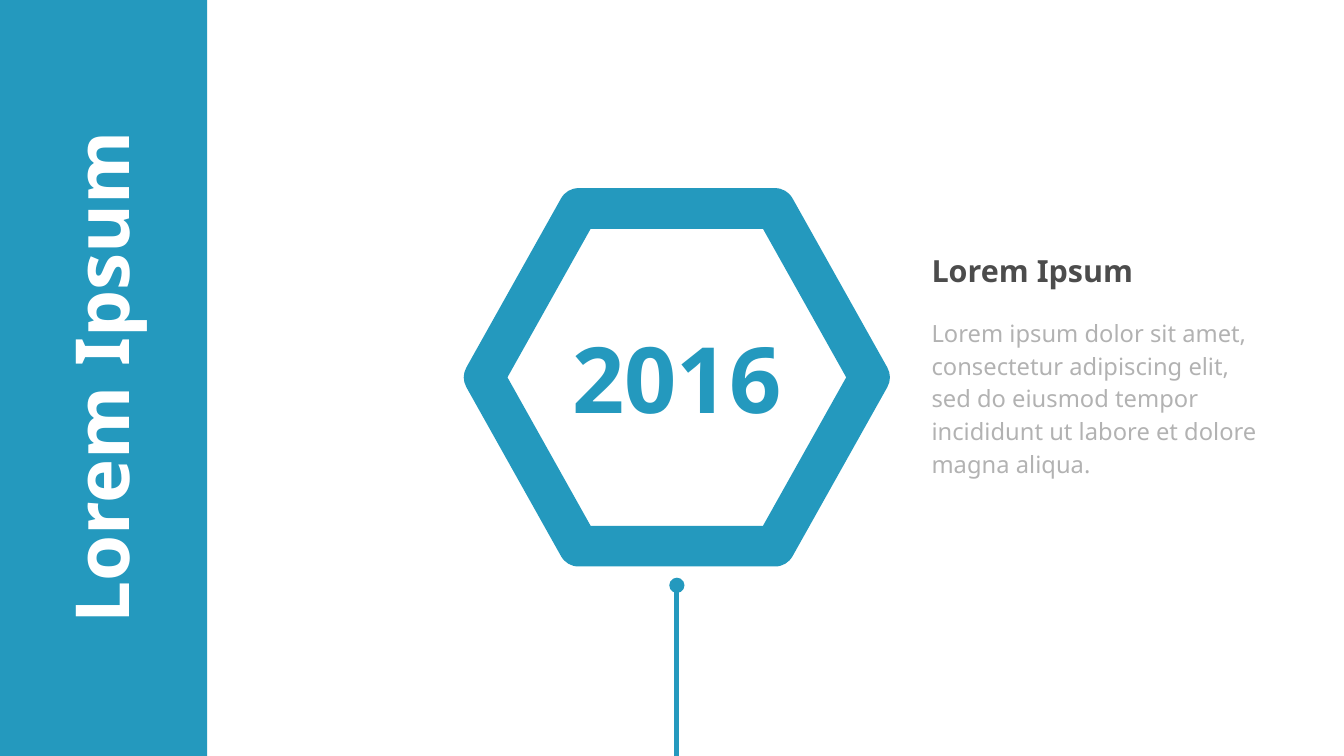
from dataclasses import dataclass

from pptx import Presentation
from pptx import util as u
from pptx.dml.color import RGBColor
from pptx.enum import shapes, text
from pptx.oxml.ns import qn
from lxml import etree


@dataclass(frozen=True)
class Theme:
    font: str = "Noto Sans"
    blue: str = "2499BE"
    white: str = "FFFFFF"
    dark: str = "4C4C4C"
    black: str = "000000"
    year: int = 54
    title: int = 44
    head: int = 18
    body: int = 14


@dataclass(frozen=True)
class Box:
    left: float
    top: float
    width: float
    height: float

    def emu(self) -> list[u.Length]:
        return [u.Inches(n) for n in (self.left, self.top, self.width, self.height)]


@dataclass(frozen=True)
class Label:
    words: str
    box: Box
    form: dict
    turn: int = 0


THEME = Theme()
WIDE, HIGH = 11.02, 6.2
BAR = 1.7
HEX = Box(3.97, 1.71, 3.16, 2.77)
MID = HEX.left + HEX.width / 2
STEM = 4.8
SIDE = 7.54

LABELS = [
    Label("Lorem Ipsum", Box(SIDE, 1.97, 3, 0.5),
          dict(size=THEME.head, color=THEME.dark, bold=True, middle=True)),
    Label("Lorem ipsum dolor sit amet, consectetur adipiscing elit, sed do eiusmod "
          "tempor incididunt ut labore et dolore magna aliqua.", Box(SIDE, 2.53, 3, 1.7),
          dict(size=THEME.body, color=THEME.black, alpha=30, space=1.15)),
    Label("Lorem Ipsum", Box(-2.28, 2.58, HIGH, 1.03),
          dict(size=THEME.title, color=THEME.white, bold=True, center=True,
               middle=True, inset=(0, 0)), turn=270),
]


def write(shape, words: str, *, size: int, color: str, bold: bool = False,
          center: bool = False, middle: bool = False, wrap: bool = True,
          alpha: int = 100, space: float = 1.0,
          inset: tuple[float, float] = (0.1, 0.05)) -> None:
    """Set the shape's text; alpha is a percentage, inset is (side, top) in inches."""
    frame = shape.text_frame
    frame.word_wrap = wrap
    frame.margin_left = frame.margin_right = u.Inches(inset[0])
    frame.margin_top = frame.margin_bottom = u.Inches(inset[1])
    frame.vertical_anchor = text.MSO_ANCHOR.MIDDLE if middle else text.MSO_ANCHOR.TOP
    para = frame.paragraphs[0]
    para.alignment = text.PP_ALIGN.CENTER if center else text.PP_ALIGN.LEFT
    para.line_spacing = space
    run = para.add_run()
    run.text = words
    run.font.name, run.font.size, run.font.bold = THEME.font, u.Pt(size), bold
    run.font.color.rgb = RGBColor.from_string(color)
    if alpha < 100:
        tint = run._r.xpath(".//a:srgbClr")[0]
        etree.SubElement(tint, qn("a:alpha"), val=str(alpha * 1000))


def stroke(shape, width: float) -> None:
    shape.line.color.rgb = RGBColor.from_string(THEME.blue)
    shape.line.width = u.Pt(width)


def draw_bar(slide) -> None:
    kind = shapes.MSO_SHAPE.RECTANGLE
    bar = slide.shapes.add_shape(kind, *Box(0, 0, BAR, HIGH).emu())
    bar.shadow.inherit = False
    bar.fill.solid()
    bar.fill.fore_color.rgb = RGBColor.from_string(THEME.blue)
    bar.line.fill.background()


def draw_year(slide) -> None:
    badge = slide.shapes.add_shape(shapes.MSO_SHAPE.HEXAGON, *HEX.emu())
    badge.adjustments[0] = 0.28
    badge.shadow.inherit = False
    badge.fill.background()
    stroke(badge, 24)
    etree.SubElement(badge.line._get_or_add_ln(), qn("a:round"))
    write(badge, "2016", size=THEME.year, color=THEME.blue, bold=True,
          center=True, middle=True, wrap=False, inset=(0.27, 0.22))


def draw_stem(slide) -> None:
    ends = [u.Inches(n) for n in (MID, STEM, MID, HIGH)]
    stem = slide.shapes.add_connector(shapes.MSO_CONNECTOR.STRAIGHT, *ends)
    stroke(stem, 3)
    etree.SubElement(stem.line._get_or_add_ln(), qn("a:headEnd"), type="oval")
    etree.SubElement(stem._element.spPr, qn("a:effectLst"))


def draw_label(slide, label: Label) -> None:
    shape = slide.shapes.add_textbox(*label.box.emu())
    shape.rotation = label.turn
    write(shape, label.words, **label.form)


def main() -> None:
    deck = Presentation()
    deck.slide_width, deck.slide_height = u.Inches(WIDE), u.Inches(HIGH)
    slide = deck.slides.add_slide(deck.slide_layouts[6])
    draw_bar(slide)
    draw_year(slide)
    draw_stem(slide)
    for label in LABELS:
        draw_label(slide, label)
    deck.save("out.pptx")


if __name__ == "__main__":
    main()
